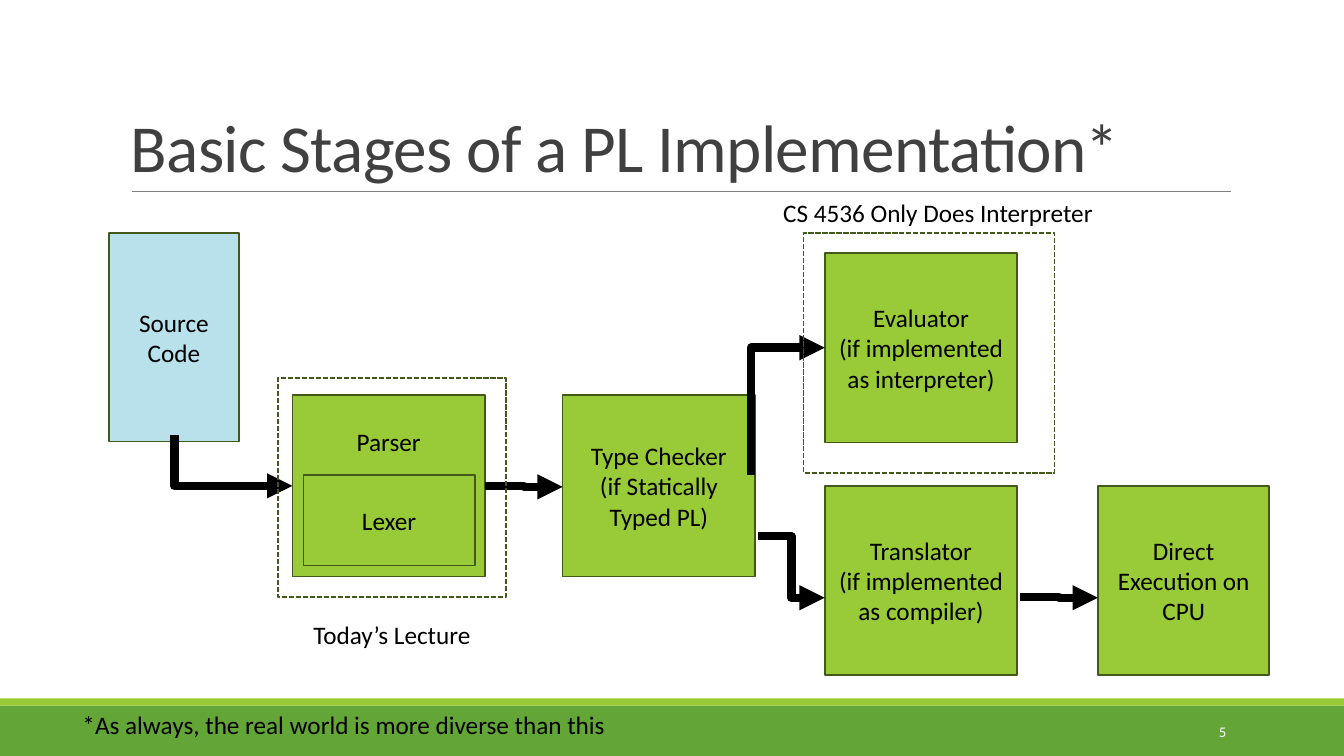
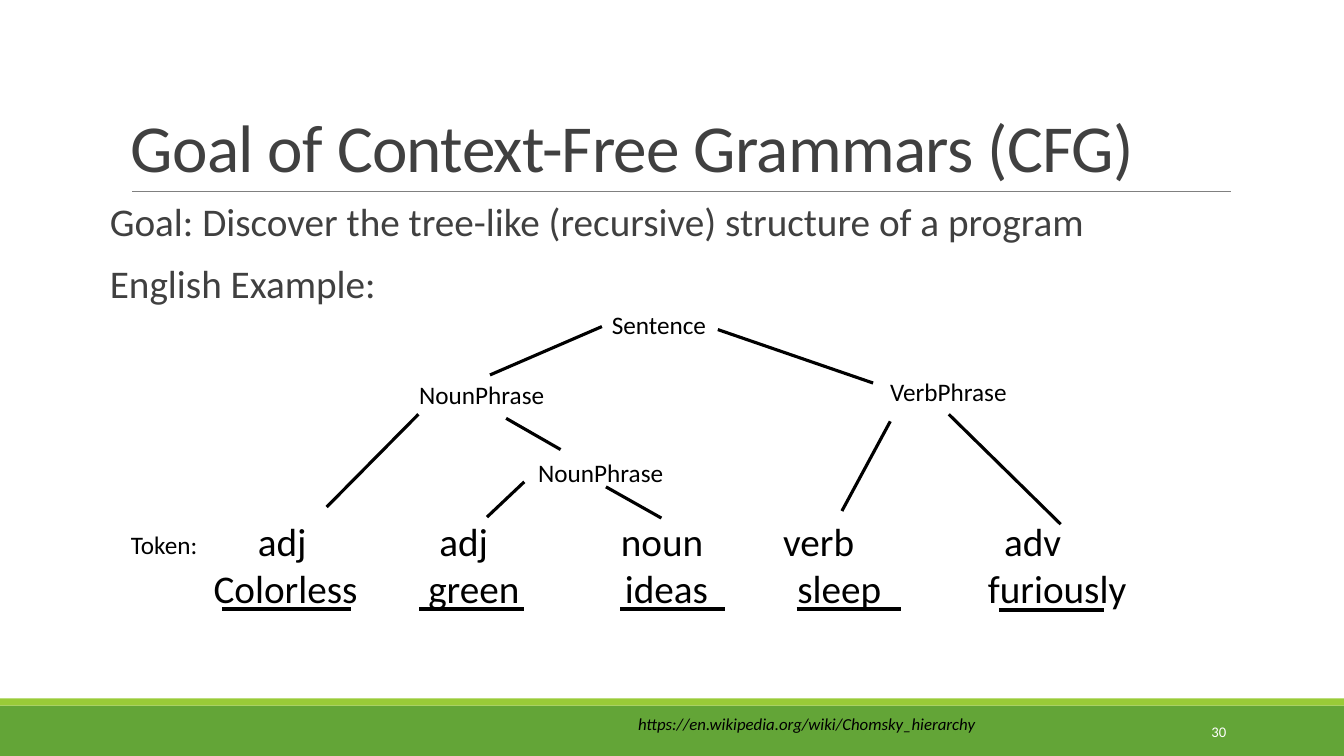
from lxml.etree import SubElement
from pptx import Presentation
from pptx.dml.color import RGBColor
from pptx.enum.dml import MSO_LINE
from pptx.enum.shapes import MSO_CONNECTOR, MSO_SHAPE
from pptx.enum.text import MSO_ANCHOR, PP_ALIGN
from pptx.oxml.ns import qn
from pptx.util import Inches, Pt

GREEN = RGBColor(0x63, 0xA5, 0x37)
LIME = RGBColor(0x99, 0xCB, 0x38)
OLIVE = RGBColor(0x43, 0x59, 0x19)
SKY = RGBColor(0xB8, 0xE1, 0xEC)
GRAY = RGBColor(0x80, 0x80, 0x80)
DARK = RGBColor(0x40, 0x40, 0x40)
BLACK = RGBColor(0, 0, 0)
WHITE = RGBColor(0xFF, 0xFF, 0xFF)
FONT = "Calibri"


class Deck:
    def __init__(self):
        self.file = Presentation()
        self.file.slide_width = Inches(13.33)
        self.file.slide_height = Inches(7.5)
        self.slide = None

    def page(self, title, number):
        self.slide = self.file.slides.add_slide(self.file.slide_layouts[6])
        self.box(0, 7, 13.33, 0.5, fill=GREEN, edge=None)
        self.box(0, 6.93, 13.33, 0.07, fill=LIME, edge=None)
        self.line(1.31, 1.9, 12.21, 1.9, 0.5, GRAY)
        frame = self.text(title, 1.2, 0.31, 11, 1.59, 48, DARK, MSO_ANCHOR.BOTTOM)
        head = frame.paragraphs[0]
        head.line_spacing = 0.85
        head.runs[0]._r.get_or_add_rPr().set("spc", "-50")
        frame = self.text(number, 10.83, 7.06, 1.43, 0.4, 10.5, WHITE, MSO_ANCHOR.MIDDLE)
        frame.paragraphs[0].alignment = PP_ALIGN.RIGHT

    def style(self, frame, size, color, align=PP_ALIGN.LEFT):
        for para in frame.paragraphs:
            para.alignment = align
            for run in para.runs:
                run.font.name = FONT
                run.font.size = Pt(size)
                run.font.color.rgb = color

    def text(self, words, x, y, w, h=0.4, size=18, color=BLACK, anchor=MSO_ANCHOR.TOP):
        shape = self.slide.shapes.add_textbox(Inches(x), Inches(y), Inches(w), Inches(h))
        frame = shape.text_frame
        frame.word_wrap = True
        frame.vertical_anchor = anchor
        frame.text = words
        self.style(frame, size, color)
        return frame

    def box(self, x, y, w, h, words="", fill=None, edge=OLIVE, dash=False):
        shape = self.slide.shapes.add_shape(
            MSO_SHAPE.RECTANGLE, Inches(x), Inches(y), Inches(w), Inches(h))
        shape.shadow.inherit = False
        if fill is None:
            shape.fill.background()
        else:
            shape.fill.solid()
            shape.fill.fore_color.rgb = fill
        if edge is None:
            shape.line.fill.background()
        else:
            shape.line.color.rgb = edge
            shape.line.width = Pt(1.25)
        if dash:
            shape.line.dash_style = MSO_LINE.SQUARE_DOT
        frame = shape.text_frame
        if words:
            frame.word_wrap = True
            frame.vertical_anchor = MSO_ANCHOR.MIDDLE
            frame.text = words
            self.style(frame, 18, BLACK, PP_ALIGN.CENTER)
        return frame

    def line(self, x1, y1, x2, y2, width=2.25, color=BLACK, kind=MSO_CONNECTOR.STRAIGHT):
        link = self.slide.shapes.add_connector(
            kind, Inches(x1), Inches(y1), Inches(x2), Inches(y2))
        link.line.color.rgb = color
        link.line.width = Pt(width)
        SubElement(link._element.spPr, qn("a:effectLst"))
        return link

    def arrow(self, x1, y1, x2, y2):
        link = self.line(x1, y1, x2, y2, 6, kind=MSO_CONNECTOR.ELBOW)
        edge = link._element.spPr.find(qn("a:ln"))
        SubElement(edge, qn("a:tailEnd")).set("type", "triangle")
        return link

    def corner(self, x1, y1, x2, y2):
        down = y2 > y1
        mid_x, mid_y = (x1 + x2) / 2, (y1 + y2) / 2
        half_w = abs(y2 - y1) / 2
        half_h = (x2 - x1) / 2 * (1 if down else -1)
        link = self.arrow(mid_x + half_w, mid_y - half_h, mid_x - half_w, mid_y + half_h)
        link._element.spPr.find(qn("a:prstGeom")).set("prst", "bentConnector2")
        link.rotation = 270 if down else 90


def stages(deck):
    deck.page("Basic Stages of a PL Implementation*", "5")
    parser = deck.box(2.9, 3.92, 1.91, 1.8, "Parser", LIME)
    parser.vertical_anchor = MSO_ANCHOR.TOP
    parser.margin_top = Inches(0.31)
    for x, y, w, h, words, fill in (
        (5.58, 3.92, 1.91, 1.8, "Type Checker\v(if Statically Typed PL)", LIME),
        (8.18, 2.51, 1.91, 1.88, "Evaluator\v(if implemented as interpreter)", LIME),
        (8.18, 4.82, 1.91, 1.88, "Translator\v(if implemented as compiler)", LIME),
        (10.89, 4.82, 1.7, 1.88, "Direct Execution on CPU", LIME),
        (1.08, 2.31, 1.29, 2.07, "Source\nCode", SKY),
        (3.01, 4.71, 1.7, 0.9, "Lexer", LIME),
    ):
        deck.box(x, y, w, h, words, fill)
    deck.corner(1.73, 4.32, 2.9, 4.82)
    deck.corner(7.45, 4.71, 8.18, 3.45)
    deck.arrow(4.81, 4.82, 5.58, 4.83)
    deck.arrow(7.52, 5.32, 8.18, 5.93)
    deck.arrow(10.12, 5.92, 10.89, 5.93)
    deck.box(7.97, 2.31, 2.49, 2.38, dash=True)
    deck.box(2.76, 3.75, 2.26, 2.17, dash=True)
    deck.text("*As always, the real world is more diverse than this", 0.72, 6.99, 5.8)
    deck.text("Today’s Lecture", 3.01, 6.09, 2)
    deck.text("CS 4536 Only Does Interpreter", 7.67, 1.91, 3.5)


def grammar(deck):
    deck.page("Goal of Context-Free Grammars (CFG)", "30")
    goal = deck.text(
        "Goal: Discover the tree-like (recursive) structure of a program\nEnglish Example:",
        1.09, 1.96, 9.86, 1.2, 28, DARK)
    goal.margin_left = goal.margin_right = 0
    for para in goal.paragraphs:
        para.line_spacing = 0.9
        para.space_after = Pt(2)
    goal.paragraphs[1].space_before = Pt(12)
    link = deck.text("https://en.wikipedia.org/wiki/Chomsky_hierarchy", 6.23, 7.03, 5, 0.3, 12)
    link.paragraphs[0].runs[0].font.italic = True

    deck.text("Token:", 1.2, 5.2, 1)
    for tag, tag_x, word, word_x, rule_x, rule_w, rule_y in (
        ("adj", 2.46, "Colorless", 2.02, 2.2, 1.28, 6.04),
        ("adj", 4.26, "green", 4.15, 4.16, 1.04, 6.04),
        ("noun", 6.06, "ideas", 6.1, 6.15, 1.04, 6.04),
        ("verb", 7.67, "sleep", 7.81, 7.9, 1.04, 6.04),
        ("adv", 9.86, "furiously", 9.7, 9.91, 1.04, 6.05),
    ):
        deck.text(tag, tag_x, 5.08, 1.8, 0.57, 28)
        deck.text(word, word_x, 5.55, 1.8, 0.57, 28)
        deck.line(rule_x, rule_y, rule_x + rule_w, rule_y, 3)

    for node, x, y in (
        ("Sentence", 5.97, 3.02),
        ("NounPhrase", 4.06, 3.71),
        ("NounPhrase", 5.24, 4.49),
        ("VerbPhrase", 8.73, 3.68),
    ):
        deck.text(node, x, y, 1.6)
    for branch in (
        (4.83, 5.13, 5.2, 4.78),
        (6.56, 5.14, 6.01, 4.83),
        (5.56, 4.46, 5.02, 4.15),
        (3.24, 5.03, 4.15, 4.11),
        (4.86, 3.72, 5.97, 3.24),
        (7.12, 3.27, 8.66, 3.8),
        (9.41, 4.11, 10.52, 5.2),
        (8.83, 4.18, 8.35, 5.07),
    ):
        deck.line(*branch)


def main():
    deck = Deck()
    stages(deck)
    grammar(deck)
    deck.file.save("out.pptx")


if __name__ == "__main__":
    main()
